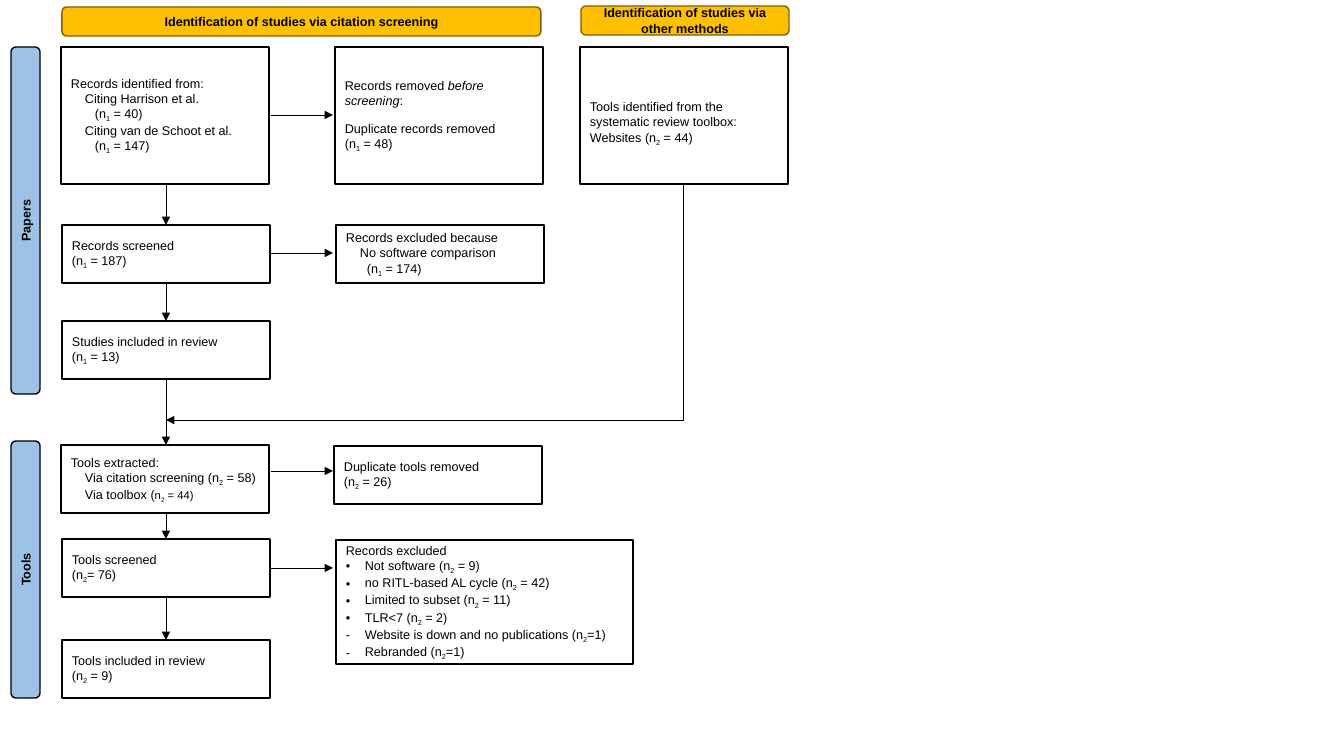
from itertools import pairwise
from pptx import Presentation
from pptx import util as u
from pptx.dml.color import RGBColor
from pptx.enum import shapes, text
from pptx.oxml.ns import qn
from lxml import etree

SCALE = 914400 / 100.8
COLORS = {"ink": "000000", "header": "FFC000", "header_line": "7F5F00", "stage": "9CC2E5"}
FONT, SIZE, SMALL = "Arial", 9, 8
BOX_WIDTH = 208
BULLET_INDENT = 19
ARROW_LEFT, ARROW_RIGHT = 271, 333

# Run marks after "|": _ subscript, * italic, ~ small. Line: text, indent, bullet, space before.
MAIN_BOXES = [
    (61, 47, BOX_WIDTH, 137, [
        ("Records identified from:",),
        ("Citing Harrison et al.", 14), ("(n|_1| = 40)", 24),
        ("Citing van de Schoot et al.", 14), ("(n|_1| = 147)", 24)]),
    (62, 225, BOX_WIDTH, 58, [("Records screened",), ("(n|_1| = 187)",)]),
    (62, 321, BOX_WIDTH, 58, [("Studies included in review",), ("(n|_1| = 13)",)]),
    (61, 445, BOX_WIDTH, 68, [
        ("Tools extracted:",),
        ("Via citation screening (n|_2| = 58)", 14),
        ("Via toolbox (|~n|~_2|~ = 44)", 14)]),
    (62, 539, BOX_WIDTH, 58, [("Tools screened",), ("(n|_2|= 76)",)]),
    (62, 640, BOX_WIDTH, 58, [("Tools included in review",), ("(n|_2| = 9)",)]),
]
SIDE_BOXES = [
    (335, 47, BOX_WIDTH, 137, [
        ("Records removed |*before screening|:",),
        ("Duplicate records removed", 0, "", 9), ("(n|_1| = 48)",)]),
    (336, 225, BOX_WIDTH, 58, [
        ("Records excluded because",), ("No software comparison", 14), ("(n|_1| = 174)", 21)]),
    (334, 446, BOX_WIDTH, 58, [("Duplicate tools removed",), ("(n|_2| = 26)",)]),
    (336, 540, 297, 124, [
        ("Records excluded",),
        ("Not software (n|_2| = 9)", BULLET_INDENT, "•"),
        ("no RITL-based AL cycle (n|_2| = 42)", BULLET_INDENT, "•"),
        ("Limited to subset (n|_2| = 11)", BULLET_INDENT, "•"),
        ("TLR<7 (n|_2| = 2)", BULLET_INDENT, "•"),
        ("Website is down and no publications (n|_2|=1)", BULLET_INDENT, "-"),
        ("Rebranded (n|_2|=1)", BULLET_INDENT, "-")]),
]
TOOLBOX = (580, 47, BOX_WIDTH, 137, [
    ("Tools identified from the systematic review toolbox:",), ("Websites (n|_2| = 44)",)])
HEADERS = [
    (62, 7, 479, 29, "Identification of studies via citation screening"),
    (581, 6, BOX_WIDTH, 29, "Identification of studies via other methods"),
]
STAGES = [(11, 47, 29, 347, "Papers"), (11, 441, 29, 257, "Tools")]
SIDE_ARROWS = [115, 253, 471, 568]
MAIN_X, TOOLBOX_X, MERGE_Y = 166, 683, 420


def px(value):
    return u.Emu(round(value * SCALE))


def color(name):
    return RGBColor.from_string(COLORS[name])


def add_runs(paragraph, marked, bold=False):
    for piece in marked.split("|"):
        words = piece.lstrip("_*~")
        marks = piece[:len(piece) - len(words)]
        run = paragraph.add_run()
        run.text = words
        run.font.name = FONT
        run.font.size = u.Pt(SMALL if "~" in marks else SIZE)
        run.font.color.rgb = color("ink")
        run.font.bold = bold
        run.font.italic = "*" in marks
        if "_" in marks:
            run._r.get_or_add_rPr().set("baseline", "-25000")


def add_line(paragraph, marked, indent=0, bullet="", before=0):
    paragraph.alignment = text.PP_ALIGN.LEFT
    paragraph.space_before = u.Pt(before)
    properties = paragraph._p.get_or_add_pPr()
    properties.set("marL", str(px(indent)))
    if bullet:
        properties.set("indent", str(-px(indent)))
        etree.SubElement(properties, qn("a:buFont")).set("typeface", FONT)
        etree.SubElement(properties, qn("a:buChar")).set("char", bullet)
    add_runs(paragraph, marked)


def add_panel(kind, left, top, width, height, fill, line):
    shape = slide.shapes.add_shape(kind, px(left), px(top), px(width), px(height))
    shape.shadow.inherit = False
    if fill:
        shape.fill.solid()
        shape.fill.fore_color.rgb = color(fill)
    else:
        shape.fill.background()
    shape.line.color.rgb = color(line)
    shape.line.width = u.Pt(1)
    shape.text_frame.word_wrap = True
    shape.text_frame.vertical_anchor = text.MSO_ANCHOR.MIDDLE
    return shape


def add_box(left, top, width, height, lines):
    shape = add_panel(shapes.MSO_SHAPE.RECTANGLE, left, top, width, height, None, "ink")
    frame = shape.text_frame
    for index, line in enumerate(lines):
        add_line(frame.add_paragraph() if index else frame.paragraphs[0], *line)
    return shape


def add_label(left, top, width, height, words, fill, line):
    kind = shapes.MSO_SHAPE.FLOWCHART_ALTERNATE_PROCESS
    shape = add_panel(kind, left, top, width, height, fill, line)
    paragraph = shape.text_frame.paragraphs[0]
    paragraph.alignment = text.PP_ALIGN.CENTER
    add_runs(paragraph, words, bold=True)
    return shape


def add_arrow(x1, y1, x2, y2, kind=shapes.MSO_CONNECTOR.STRAIGHT):
    arrow = slide.shapes.add_connector(kind, px(x1), px(y1), px(x2), px(y2))
    arrow.line.color.rgb = color("ink")
    arrow.line.width = u.Pt(0.5)
    etree.SubElement(arrow.line._get_or_add_ln(), qn("a:tailEnd")).set("type", "triangle")
    etree.SubElement(arrow._element.spPr, qn("a:effectLst"))
    return arrow


presentation = Presentation()
presentation.slide_width, presentation.slide_height = px(1344), px(756)
slide = presentation.slides.add_slide(presentation.slide_layouts[6])

for box in MAIN_BOXES + SIDE_BOXES:
    add_box(*box)
add_box(*TOOLBOX).text_frame.margin_top = px(20)

for header in HEADERS:
    add_label(*header, "header", "header_line")
for left, top, width, height, words in STAGES:
    shift = (height - width) / 2
    add_label(left - shift, top + shift, height, width, words, "stage", "ink").rotation = 270

for y in SIDE_ARROWS:
    add_arrow(ARROW_LEFT, y, ARROW_RIGHT, y)
for upper, lower in pairwise(MAIN_BOXES):
    add_arrow(MAIN_X, upper[1] + upper[3], MAIN_X, lower[1])

start_y = TOOLBOX[1] + TOOLBOX[3]
run_x, run_y = TOOLBOX_X - MAIN_X, MERGE_Y - start_y
center_x, center_y = (TOOLBOX_X + MAIN_X) / 2, (MERGE_Y + start_y) / 2
merge = add_arrow(center_x - run_y / 2, center_y - run_x / 2,
                  center_x + run_y / 2, center_y + run_x / 2, shapes.MSO_CONNECTOR.ELBOW)
merge._element.spPr.find(qn("a:prstGeom")).set("prst", "bentConnector2")
merge._element.spPr.find(qn("a:xfrm")).set("rot", str(90 * 60000))

presentation.save("out.pptx")
